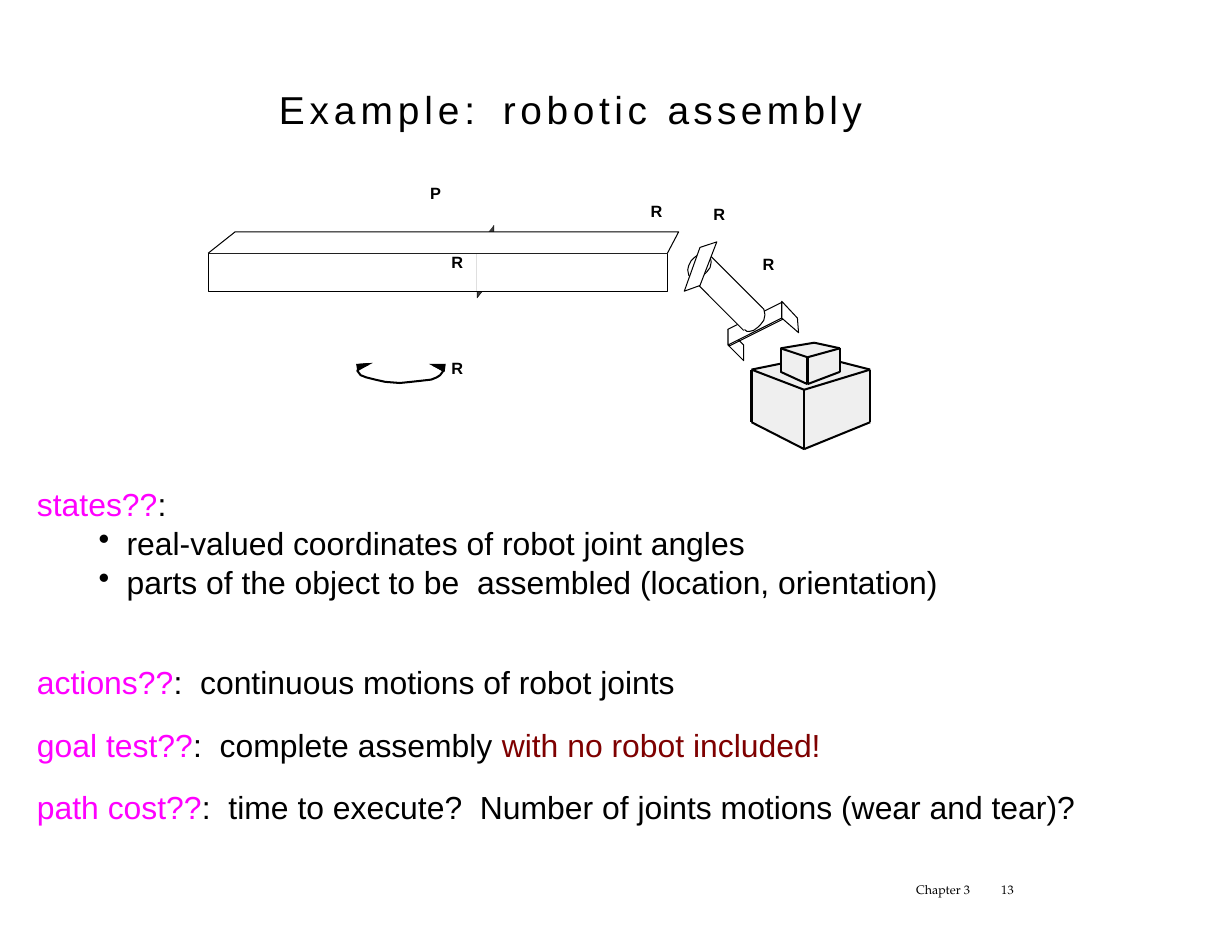
from dataclasses import dataclass

from lxml.etree import SubElement
from pptx import Presentation
from pptx.dml.color import RGBColor
from pptx.enum.shapes import MSO_CONNECTOR, MSO_SHAPE
from pptx.enum.text import MSO_ANCHOR, PP_ALIGN
from pptx.oxml.ns import qn
from pptx.util import Inches, Pt

COLS, ROWS = 1100, 850
CELL = Inches(0.01)


@dataclass(frozen=True)
class Theme:
    sans: str = "Arial"
    serif: str = "TeX Gyre Pagella"
    ink: str = "000000"
    paper: str = "FFFFFF"
    key: str = "FF00FF"
    warn: str = "7E0000"
    shaft: str = "3E3E3E"
    side: str = "BEBEBE"
    crate: str = "EFEFEF"
    title: float = 25
    body: float = 20.5
    tag: float = 10.5
    foot: float = 8
    hair: float = 0.25
    thin: float = 0.65
    bold: float = 1.3


T = Theme()
DISC = [(17, 17), (20, 13), (21, 8), (20, 3), (16, 0), (14, 0), (10, 1), (6, 4),
        (3, 7), (1, 11), (0, 15), (1, 20), (5, 23), (7, 23), (11, 22), (15, 19), (17, 17)]
SWEEP = [(329, 325), (323, 327), (319, 331), (322, 335), (327, 337), (335, 339),
         (344, 341), (357, 342), (367, 341), (376, 340), (385, 339), (390, 337),
         (393, 335), (396, 331), (393, 328), (387, 326)]


def paint(shape, fill, line, width):
    shape.shadow.inherit = False
    if fill:
        shape.fill.solid()
        shape.fill.fore_color.rgb = RGBColor.from_string(fill)
    else:
        shape.fill.background()
    if line:
        shape.line.color.rgb = RGBColor.from_string(line)
        shape.line.width = Pt(width)
    else:
        shape.line.fill.background()


def trace(slide, pts, fill=None, line=T.ink, width=T.thin, close=True):
    pen = slide.shapes.build_freeform(*pts[0], scale=CELL)
    pen.add_line_segments(pts[1:], close=close)
    paint(pen.convert_to_shape(), fill, line, width)


def edge(slide, start, end, width=T.thin):
    ends = [CELL * n for n in (*start, *end)]
    line = slide.shapes.add_connector(MSO_CONNECTOR.STRAIGHT, *ends)
    line.line.color.rgb = RGBColor.from_string(T.ink)
    line.line.width = Pt(width)
    SubElement(line._element.spPr, qn("a:effectLst"))


def setup(frame, wrap=True):
    frame.margin_left = frame.margin_right = frame.margin_top = frame.margin_bottom = 0
    frame.vertical_anchor = MSO_ANCHOR.TOP
    frame.word_wrap = wrap
    return frame


def write(para, runs, size, face=T.sans, bold=None):
    """Fill a paragraph from (text, colour, tracking) runs."""
    para.alignment = PP_ALIGN.LEFT
    for text, color, track in runs:
        run = para.add_run()
        run.text = text
        run.font.color.rgb = RGBColor.from_string(color)
        if track:
            run._r.get_or_add_rPr().set("spc", str(track))
    para.font.name, para.font.size, para.font.bold = face, Pt(size), bold


def indent(para, left, first=0, bullet=None):
    props = para._p.get_or_add_pPr()
    props.set("marL", str(CELL * left))
    props.set("indent", str(CELL * first))
    if bullet:
        tint = SubElement(props, qn("a:buClr"))
        SubElement(tint, qn("a:srgbClr")).set("val", T.ink)
        SubElement(props, qn("a:buChar")).set("char", bullet)


def box(slide, x, y, w, h, wrap=True):
    shape = slide.shapes.add_textbox(*(CELL * n for n in (x, y, w, h)))
    return setup(shape.text_frame, wrap)


def title(slide):
    shape = slide.shapes.add_shape(MSO_SHAPE.RECTANGLE, *(CELL * n for n in (66, 84, 844, 142)))
    paint(shape, None, T.paper, 4.08)
    para = setup(shape.text_frame).paragraphs[0]
    para.line_spacing = Pt(24.3)
    indent(para, 183)
    write(para, [("Example:\t", T.ink, 320), ("robotic ", T.ink, 300),
                 ("assembly", T.ink, 280)], T.title)


def gripper(slide):
    trace(slide, [(650, 308), (664, 322), (664, 308), (650, 294)], close=False)
    trace(slide, [(651, 295), (651, 309), (699, 285), (699, 271)])
    trace(slide, [(650, 294), (650, 308), (698, 284), (698, 270)], T.paper)
    trace(slide, [(698, 270), (698, 274), (699, 271)], T.side, None)
    for y in (270, 284):
        edge(slide, (698, y), (699, y + 1))
    trace(slide, [(698, 269), (712, 284), (713, 297), (698, 284)], T.paper)


def wrist(slide):
    def disc(x, y):
        trace(slide, [(x + a, y + b) for a, b in DISC], T.paper)

    disc(662, 273)
    trace(slide, [(681, 275), (633, 227), (616, 247), (664, 295)], T.paper, close=False)
    disc(614, 226)
    trace(slide, [(611, 260), (625, 255), (640, 216), (625, 221)], T.paper)


def beam(slide):
    def front(left, right, fill, line):
        trace(slide, [(right, 260), (right, 226), (left, 226), (left, 260)], fill, line)

    trace(slide, [(441, 201), (441, 247), (426, 266), (426, 220)], T.shaft,
          width=T.hair, close=False)
    front(426, 596, T.paper, None)
    front(186, 317, T.paper, None)
    front(186, 596, None, T.ink)
    trace(slide, [(186, 226), (210, 207), (606, 207), (596, 226)], T.paper, close=False)


def turn(slide):
    trace(slide, SWEEP, width=T.bold, close=False)
    heads = (([(318, 325), (319, 331), (333, 324)], [(319, 326), (329, 325), (320, 330)]),
             ([(383, 325), (397, 332), (398, 325)], [(396, 331), (387, 326), (397, 326)]))
    for solid, barb in heads:
        trace(slide, solid, T.ink, None)
        trace(slide, barb, width=T.bold, close=False)


def crate(slide, xs, ys):
    """Draw a block from its left, back, front and right columns and its five rows."""
    left, back, front, right = xs
    rear, side, near, foot, base = ys
    peak, west, east = (back, rear), (left, side), (right, side)
    mid, low = (front, near), (front, base)
    west_low, east_low = (left, foot), (right, foot)
    for face in ((west, mid, east, peak), (west, west_low, low, mid), (mid, low, east_low, east)):
        trace(slide, face, T.crate, None)
    for start, end in ((mid, low), (low, east_low), (east_low, east), (mid, east), (mid, west),
                       (west, west_low), (west_low, low), (peak, east), (peak, west)):
        edge(slide, start, end, T.bold)


def tags(slide):
    for text, x, y in (("R", 402, 320), ("R", 636, 182), ("R", 580, 180),
                       ("P", 383, 164), ("R", 402, 225), ("R", 680, 227)):
        para = box(slide, x, y, 13, 17, wrap=False).paragraphs[0]
        indent(para, 1)
        write(para, [(text, T.ink, 0)], T.tag, bold=True)


def body(slide):
    rows = [
        (81, -80, None, 25, 0, [("states??", T.key), (":", T.ink)]),
        (81, -25, "•", 25, 0, [("real-valued coordinates of robot joint angles", T.ink)]),
        (81, -25, "•", 25, 0,
         [("parts of the object to be  assembled (location, orientation)", T.ink)]),
        (1, 0, None, 24.6, 40,
         [("actions??", T.key), (":  continuous motions of robot joints", T.ink)]),
        (1, 0, None, 24.6, 15.6, [("goal test??", T.key), (":  complete assembly ", T.ink),
                                  ("with no robot included!", T.warn)]),
        (1, 0, None, 24.6, 15.6, [("path cost??", T.key), (
            ":  time to execute?  Number of joints motions (wear and tear)?", T.ink)]),
    ]
    frame = box(slide, 32, 432, 939, 339)
    for i, (left, first, bullet, pitch, gap, runs) in enumerate(rows):
        para = frame.add_paragraph() if i else frame.paragraphs[0]
        para.line_spacing = Pt(pitch)
        if gap:
            para.space_before = Pt(gap)
        indent(para, left, first, bullet)
        write(para, [(*run, 0) for run in runs], T.body)


def footer(slide):
    for x, w, left, runs in ((817, 54, 1, [("Chapter ", T.ink, 0), ("3", T.ink, 10)]),
                             (891, 17, 3, [("13", T.ink, 10)])):
        para = box(slide, x, 789, w, 14, wrap=False).paragraphs[0]
        para.line_spacing = Pt(8.8)
        indent(para, left)
        write(para, runs, T.foot, T.serif)


def main():
    deck = Presentation()
    deck.slide_width, deck.slide_height = CELL * COLS, CELL * ROWS
    slide = deck.slides.add_slide(deck.slide_layouts[6])
    for draw in (title, gripper, wrist, beam, tags, turn):
        draw(slide)
    crate(slide, (671, 730, 718, 777), (318, 330, 348, 377, 401))
    crate(slide, (697, 727, 721, 750), (306, 311, 319, 332, 343))
    body(slide)
    footer(slide)
    deck.save("out.pptx")


if __name__ == "__main__":
    main()
